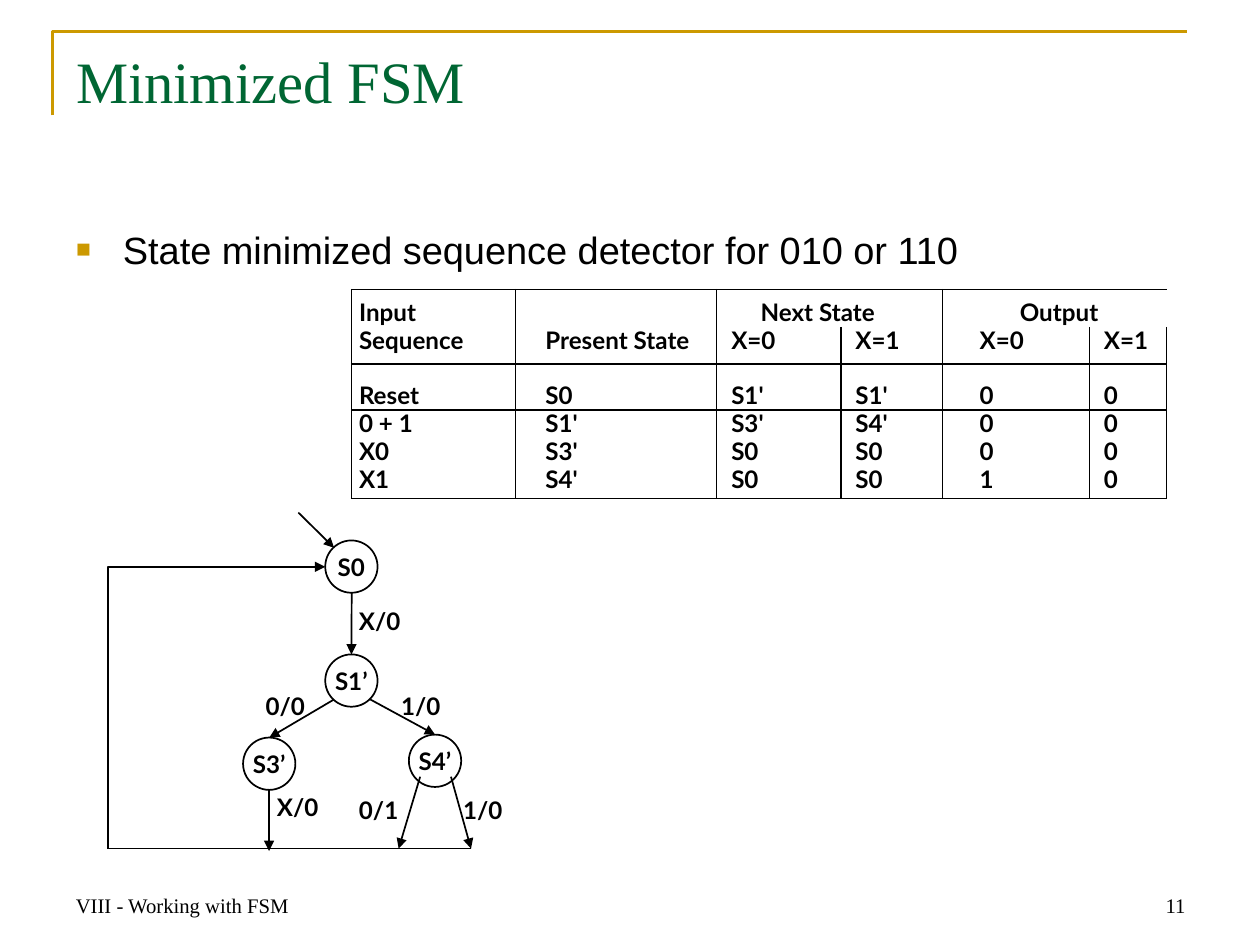
from dataclasses import dataclass

from lxml import etree
from pptx import Presentation
from pptx.dml.color import RGBColor
from pptx.enum.shapes import MSO_CONNECTOR, MSO_SHAPE
from pptx.enum.text import MSO_ANCHOR, MSO_AUTO_SIZE, PP_ALIGN
from pptx.oxml.ns import qn
from pptx.util import Cm, Pt

LINE = MSO_CONNECTOR.STRAIGHT
OVAL = MSO_SHAPE.OVAL
TOP, MIDDLE, BOTTOM = MSO_ANCHOR.TOP, MSO_ANCHOR.MIDDLE, MSO_ANCHOR.BOTTOM
LEFT, CENTER, RIGHT = PP_ALIGN.LEFT, PP_ALIGN.CENTER, PP_ALIGN.RIGHT
NO_FIT, GROW = MSO_AUTO_SIZE.NONE, MSO_AUTO_SIZE.SHAPE_TO_FIT_TEXT
BLACK, GOLD, GREEN = "000000", "CC9900", "006633"
PLAIN = "{2D5ABB26-0587-4C30-8999-92F81FD0307C}"
SIZE = 1.07
BASE = 17.35


@dataclass(frozen=True)
class Font:
    name: str
    size: float
    hue: str = BLACK
    bold: bool = False


@dataclass(frozen=True)
class State:
    name: str
    x: float
    y: float


@dataclass(frozen=True)
class Arrow:
    start: tuple[float, float]
    end: tuple[float, float] | str


@dataclass(frozen=True)
class Label:
    text: str
    x: float
    y: float


@dataclass(frozen=True)
class Column:
    width: float
    inset: float
    cells: tuple[str, ...]


TITLE = Font("Times New Roman", 34, GREEN)
BODY = Font("Arial", 22)
FOOT = Font("Times New Roman", 12)
NOTE = Font("Lato", 14, BLACK, True)

STATES = [
    State("S0", 6.65, 11.05),
    State("S1’", 6.65, 13.38),
    State("S3’", 4.97, 15.08),
    State("S4’", 8.36, 15.02),
]
ARROWS = [
    Arrow((6.1, 10.48), (6.83, 11.2)),
    Arrow((7.19, 12.12), "S1’"),
    Arrow((6.83, 14.3), "S3’"),
    Arrow((7.57, 14.3), "S4’"),
    Arrow((5.5, 16.15), (5.5, 17.4)),
    Arrow((8.59, 15.88), (8.15, BASE)),
    Arrow((9.22, 15.88), (9.63, BASE)),
]
LABELS = [
    Label("X/0", 7.09, 12.27),
    Label("0/0", 5.18, 14.02),
    Label("1/0", 7.95, 14.02),
    Label("X/0", 5.41, 16.08),
    Label("0/1", 7.09, 16.13),
    Label("1/0", 9.22, 16.13),
]
COLUMNS = [
    Column(3.35, 0.15, ("Input", "Sequence", "Reset", "0 + 1", "X0", "X1")),
    Column(4.11, 0.61, ("", "Present State", "S0", "S1'", "S3'", "S4'")),
    Column(2.54, 0.3, ("Next State", "X=0", "S1'", "S3'", "S0", "S0")),
    Column(2.08, 0.3, ("", "X=1", "S1'", "S4'", "S0", "S0")),
    Column(3.0, 0.76, ("Output", "X=0", "0", "0", "0", "1")),
    Column(1.58, 0.3, ("", "X=1", "0", "0", "0", "0")),
]
ROWS = [0.69, 0.76, 0.94, 0.57, 0.57, 0.67]
SPANS = {2: 0.9, 4: 1.58}


def paint(hue: str) -> RGBColor:
    return RGBColor.from_string(hue)


def say(frame, text: str, font: Font, align=LEFT, anchor=TOP):
    frame.vertical_anchor = anchor
    para = frame.paragraphs[0]
    para.alignment = align
    run = para.add_run()
    run.text = text
    run.font.name, run.font.size = font.name, Pt(font.size)
    run.font.bold = font.bold
    run.font.color.rgb = paint(font.hue)
    return para


def place(shape, x: float, y: float, wide: float, high: float) -> None:
    shape.left, shape.top = Cm(x), Cm(y)
    shape.width, shape.height = Cm(wide), Cm(high)


def box(slide, x: float, y: float, wide: float, high: float):
    return slide.shapes.add_textbox(Cm(x), Cm(y), Cm(wide), Cm(high)).text_frame


def ink(shape, hue: str, width: float, tip: bool = False) -> None:
    shape.line.color.rgb = paint(hue)
    shape.line.width = Pt(width)
    props = shape.element.spPr
    if tip:
        etree.SubElement(props.find(qn("a:ln")), qn("a:tailEnd"), type="triangle")
    etree.SubElement(props, qn("a:effectLst"))


def trace(slide, points: list, hue: str, width: float, tip: bool = False) -> None:
    spots = [(Cm(x), Cm(y)) for x, y in points]
    path = slide.shapes.build_freeform(*spots[0])
    path.add_line_segments(spots[1:], close=False)
    shape = path.convert_to_shape()
    shape.fill.background()
    ink(shape, hue, width, tip)


def link(slide, start: tuple, end: tuple, tip: bool, goal=None) -> None:
    ends = [Cm(v) for v in (*start, *end)]
    line = slide.shapes.add_connector(LINE, *ends)
    if goal is not None:
        line.end_connect(goal, 0)
    ink(line, BLACK, 1, tip)


def edge(cell, sides: str) -> None:
    props = cell._tc.get_or_add_tcPr()
    for side in sides:
        line = etree.SubElement(props, qn("a:ln" + side), w=str(Pt(1)))
        fill = etree.SubElement(line, qn("a:solidFill"))
        etree.SubElement(fill, qn("a:srgbClr"), val=BLACK)


def grid(slide) -> None:
    wide = sum(col.width for col in COLUMNS)
    frame = slide.shapes.add_table(
        len(ROWS), len(COLUMNS), Cm(7.19), Cm(5.92), Cm(wide), Cm(sum(ROWS)))
    table = frame.table
    table.first_row = table.horz_banding = False
    frame.element.find(".//" + qn("a:tableStyleId")).text = PLAIN
    for r, high in enumerate(ROWS):
        table.rows[r].height = Cm(high)
    for c, col in enumerate(COLUMNS):
        table.columns[c].width = Cm(col.width)
        for r, text in enumerate(col.cells):
            cell = table.cell(r, c)
            sides = "L" * (c in (0, 1, 2, 4)) + "R" * (c in (0, 1, 3, 5))
            edge(cell, sides + "T" * (r in (0, 2)) + "B" * (r in (1, 5)))
            cell.fill.background()
            cell.margin_top = cell.margin_bottom = cell.margin_right = 0
            cell.margin_left = Cm(SPANS.get(c, col.inset) if r == 0 else col.inset)
            cell.vertical_anchor = BOTTOM if r in (0, 2) else TOP
            say(cell.text_frame, text, NOTE, LEFT, cell.vertical_anchor).line_spacing = Pt(16)
    for c in SPANS:
        table.cell(0, c).merge(table.cell(0, c + 1))


def heads(slide) -> None:
    title, body = slide.shapes.title, slide.placeholders[1]
    place(title, 1.3, 0.79, 23.16, 3.2)
    place(body, 1.3, 4.5, 23.16, 12.75)
    title.text_frame.auto_size = body.text_frame.auto_size = NO_FIT
    say(title.text_frame, "Minimized FSM", TITLE)
    para = say(body.text_frame, "State minimized sequence detector for 010 or 110", BODY)
    para.space_before = Pt(0)
    props = para._p.get_or_add_pPr()
    props.set("marL", str(Cm(0.96)))
    props.set("indent", str(Cm(-0.96)))
    tint = etree.SubElement(props, qn("a:buClr"))
    etree.SubElement(tint, qn("a:srgbClr"), val=GOLD)
    etree.SubElement(props, qn("a:buSzPct"), val="65000")
    etree.SubElement(props, qn("a:buFont"), typeface="Arial")
    etree.SubElement(props, qn("a:buChar"), char="■")


def graph(slide) -> None:
    nodes = {}
    for state in STATES:
        node = slide.shapes.add_shape(OVAL, Cm(state.x), Cm(state.y), Cm(SIZE), Cm(SIZE))
        node.fill.background()
        ink(node, BLACK, 1)
        node.text_frame.word_wrap = False
        say(node.text_frame, state.name, NOTE, CENTER, MIDDLE)
        nodes[state.name] = node
    for arrow in ARROWS:
        goal = nodes.get(arrow.end)
        link(slide, arrow.start, arrow.start if goal else arrow.end, True, goal)
    trace(slide, [(2.21, BASE), (2.21, 11.59), (6.65, 11.59)], BLACK, 1, True)
    link(slide, (9.63, BASE), (2.21, BASE), False)
    for label in LABELS:
        frame = box(slide, label.x, label.y, 1.44, 0.84)
        frame.word_wrap, frame.auto_size = False, GROW
        say(frame, label.text, NOTE)


def main() -> None:
    """Build the slide on the minimized state machine."""
    deck = Presentation()
    deck.slide_width, deck.slide_height = Cm(25.76), Cm(19.3)
    slide = deck.slides.add_slide(deck.slide_layouts[1])
    trace(slide, [(1.07, 2.36), (1.07, 0.64), (24.26, 0.64)], GOLD, 1.5)
    for text, x, align in (("VIII - Working with FSM", 1.3, LEFT), ("11", 18.47, RIGHT)):
        frame = box(slide, x, 17.58, 6.02, 1.3)
        frame.word_wrap = True
        say(frame, text, FOOT, align, BOTTOM)
    grid(slide)
    heads(slide)
    graph(slide)
    deck.save("out.pptx")


if __name__ == "__main__":
    main()
